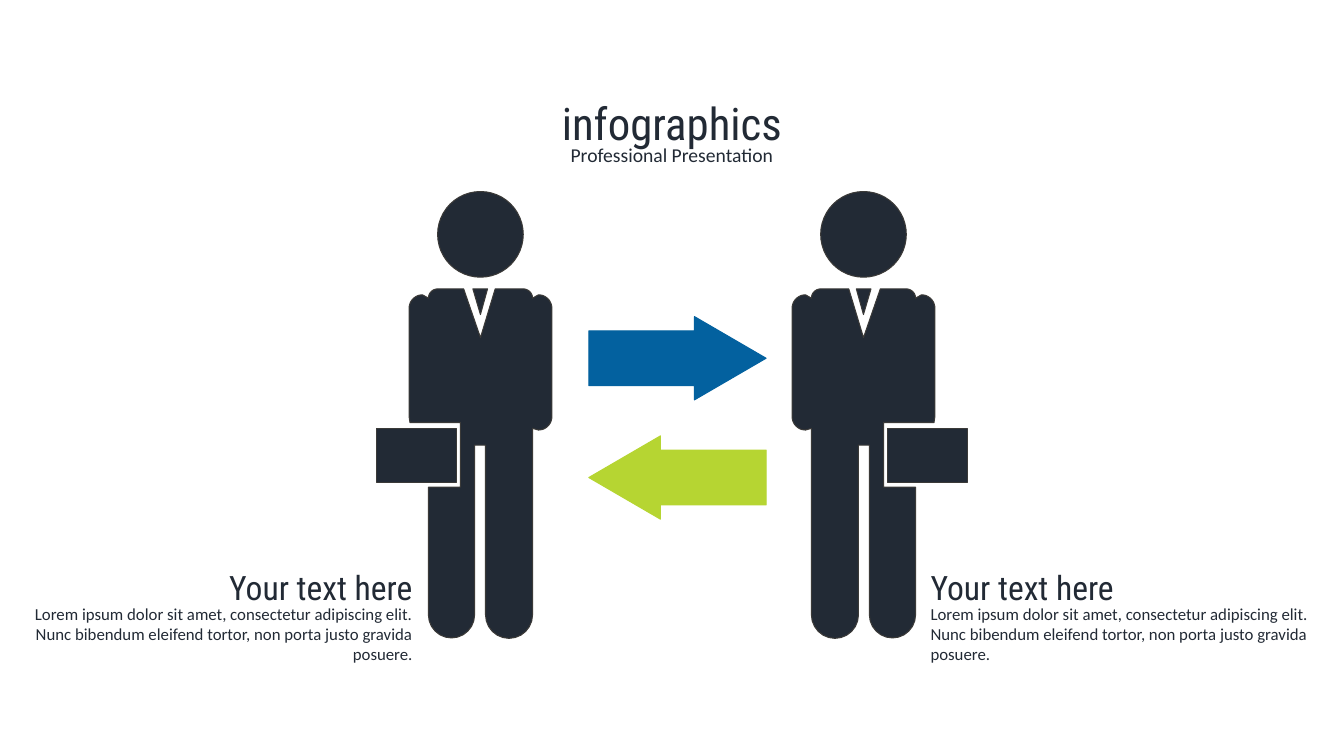
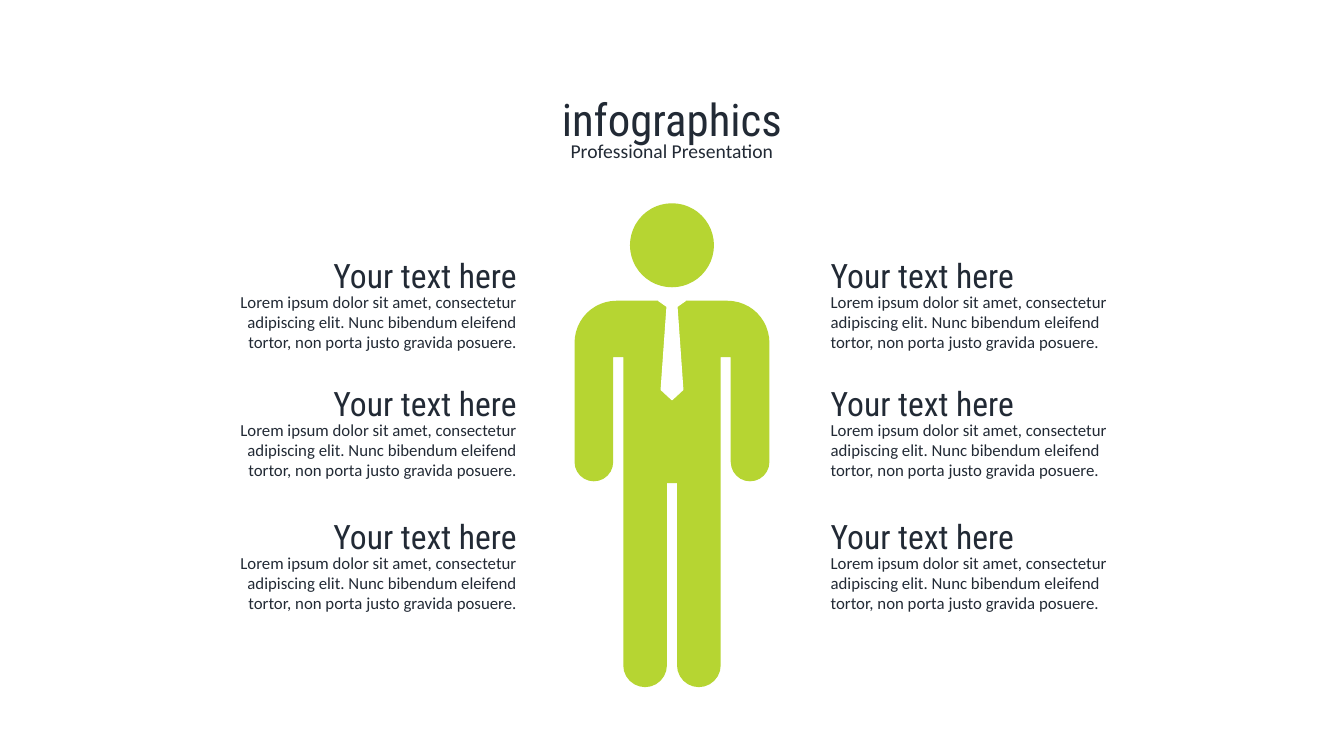
from math import cos, radians, sin

from pptx import Presentation
from pptx.dml.color import RGBColor
from pptx.enum.shapes import MSO_SHAPE
from pptx.enum.text import MSO_ANCHOR, MSO_AUTO_SIZE, PP_ALIGN
from pptx.util import Inches, Pt

COLUMNS, ROWS = 160, 90
CENTRE = COLUMNS / 2
NAVY, BLUE, GREEN, WHITE, EDGE = "222A35", "03619F", "B6D532", "FFFFFF", "3B3A38"
HEADING_FONT, BODY_FONT = "Roboto Condensed", "Calibri"
HEADING = "Your text here"
DESCRIPTION = (
    "Lorem ipsum dolor sit amet, consectetur adipiscing elit. "
    "Nunc bibendum eleifend tortor, non porta justo gravida posuere."
)


def color(value):
    return RGBColor.from_string(value)


def arc(center_x, center_y, radius, start, end, steps=12):
    angles = [radians(start + (end - start) * step / steps) for step in range(steps + 1)]
    return [(center_x + radius * cos(angle), center_y + radius * sin(angle)) for angle in angles]


def symmetric(half):
    return half + [(-x, y) for x, y in reversed(half)]


class Deck:
    def __init__(self):
        self.presentation = Presentation()
        self.presentation.slide_width = Inches(13.33)
        self.presentation.slide_height = Inches(7.5)
        self.slide = None

    def horizontal(self, columns):
        return round(self.presentation.slide_width * columns / COLUMNS)

    def vertical(self, rows):
        return round(self.presentation.slide_height * rows / ROWS)

    def box(self, left, top, width, height):
        return (self.horizontal(left), self.vertical(top),
                self.horizontal(width), self.vertical(height))

    def add_slide(self, title_top):
        self.slide = self.presentation.slides.add_slide(self.presentation.slide_layouts[0])
        title, subtitle = self.slide.placeholders
        for shape, text, top, height, font, size in (
            (title, "infographics", title_top, 7.7, HEADING_FONT, 32),
            (subtitle, "Professional Presentation", title_top + 5.6, 4.1, BODY_FONT, 14),
        ):
            shape.left, shape.top, shape.width, shape.height = self.box(10.5, top, 139, height)
            self.fill_text(shape, text, font, size, PP_ALIGN.CENTER)

    def fill_text(self, shape, text, font, size, alignment):
        frame = shape.text_frame
        frame.word_wrap = True
        frame.auto_size = MSO_AUTO_SIZE.SHAPE_TO_FIT_TEXT
        frame.vertical_anchor = MSO_ANCHOR.TOP
        paragraph = frame.paragraphs[0]
        paragraph.alignment = alignment
        paragraph.line_spacing = 1.0
        paragraph.space_before = Pt(0)
        run = paragraph.add_run()
        run.text = text
        run.font.name = font
        run.font.size = Pt(size)
        run.font.color.rgb = color(NAVY)

    def text_block(self, left, top, width, alignment):
        for text, offset, height, font, size in (
            (DESCRIPTION, 4.35, 8.5, BODY_FONT, 12),
            (HEADING, 0, 6, HEADING_FONT, 24),
        ):
            shape = self.slide.shapes.add_textbox(*self.box(left, top + offset, width, height))
            self.fill_text(shape, text, font, size, alignment)

    def paint(self, shape, fill, line):
        shape.shadow.inherit = False
        shape.fill.solid()
        shape.fill.fore_color.rgb = color(fill)
        if line:
            shape.line.color.rgb = color(line)
            shape.line.width = Pt(0)
        else:
            shape.line.fill.background()

    def preset(self, kind, left, top, width, height, fill, line=None):
        shape = self.slide.shapes.add_shape(kind, *self.box(left, top, width, height))
        self.paint(shape, fill, line)
        return shape

    def outline(self, points, center, fill, line=None, side=1):
        corners = [(self.horizontal(center + side * x), self.vertical(y)) for x, y in points]
        builder = self.slide.shapes.build_freeform(*corners[0])
        builder.add_line_segments(corners[1:], close=True)
        self.paint(builder.convert_to_shape(), fill, line)

    def arrow(self, kind, top, fill):
        shape = self.preset(kind, 70.1, top, 21.1, 9.9, fill, fill)
        shape.adjustments[0] = 0.66
        shape.adjustments[1] = 0.86

    def head(self, center, top, diameter, fill, line=None):
        self.preset(MSO_SHAPE.OVAL, center - diameter / 2, top, diameter, diameter, fill, line)

    def businessman(self, center, side):
        self.head(center, 22.8, 10.2, NAVY, EDGE)
        self.outline([(-0.9, 34.4), (0.85, 34.4), (0, 37.45)], center, NAVY, EDGE, side)
        suit = [
            (-2, 34.4), (0, 40.2), (1.75, 34.4),
            *arc(5.1, 35.5, 1.1, -90, 0),
            *arc(6.9, 36.7, 1.6, -90, 0),
            *arc(6.9, 49.6, 1.6, 0, 90),
            (6.2, 51),
            *arc(3.4, 73.2, 2.8, 0, 180),
            (0.6, 53), (-0.7, 53),
            *arc(-3.45, 73.2, 2.75, 0, 180),
            (-6.2, 58), (-2.4, 58), (-2.4, 50.3), (-8.4, 50.3), (-8.5, 49.6),
            *arc(-6.9, 36.7, 1.6, 180, 270),
            *arc(-5.1, 35.5, 1.1, 180, 270),
        ]
        self.outline(suit, center, NAVY, EDGE, side)
        self.preset(MSO_SHAPE.RECTANGLE, center - side * 7.6 - 4.75, 51, 9.5, 6.4, NAVY, EDGE)

    def man_with_tie(self):
        body = [
            *arc(6.6, 40.8, 5, -90, 0),
            *arc(9.3, 55, 2.3, 0, 180),
            (7, 42.5), (5.8, 42.5),
            *arc(3.2, 79.2, 2.6, 0, 180),
            (0.6, 57.5),
        ]
        tie = [(1.6, 35.8), (0.6, 36.5), (1.3, 46.4), (0, 47.6)]
        self.outline(symmetric(body), CENTRE, GREEN)
        self.head(CENTRE, 24.2, 10, GREEN)
        self.outline(symmetric(tie), CENTRE, WHITE, WHITE)


def main():
    deck = Deck()

    deck.add_slide(10.8)
    for side in (1, -1):
        deck.businessman(CENTRE - side * 22.8, side)
    deck.arrow(MSO_SHAPE.RIGHT_ARROW, 37.7, BLUE)
    deck.arrow(MSO_SHAPE.LEFT_ARROW, 51.9, GREEN)
    deck.text_block(109.6, 66.95, 49.1, PP_ALIGN.LEFT)
    deck.text_block(1.2, 66.95, 49.1, PP_ALIGN.RIGHT)

    deck.add_slide(10.35)
    deck.man_with_tie()
    for top in (29.75, 45, 60.8):
        deck.text_block(97.7, top, 38.5, PP_ALIGN.LEFT)
        deck.text_block(24.2, top, 38.5, PP_ALIGN.RIGHT)

    deck.presentation.save("out.pptx")


if __name__ == "__main__":
    main()
